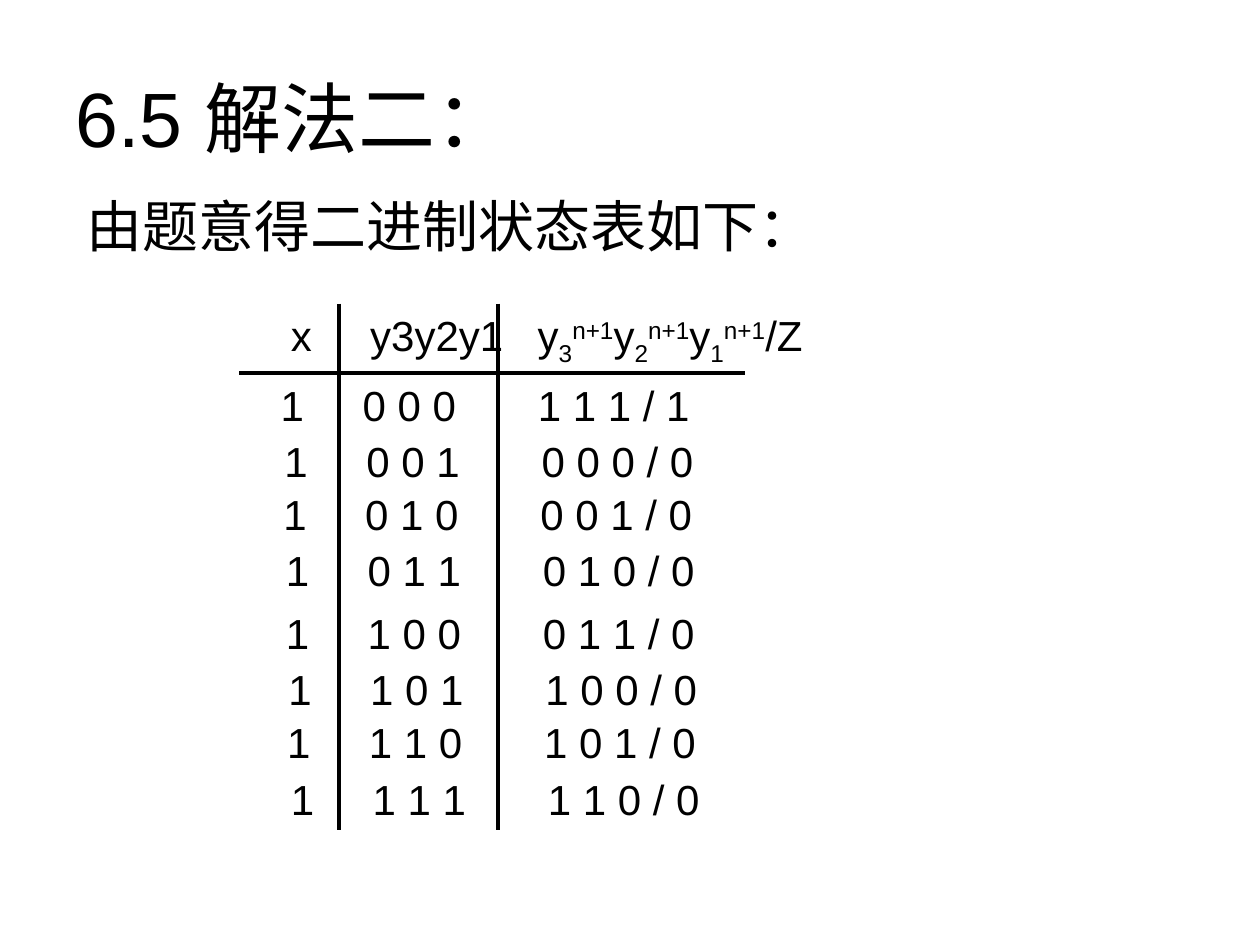
from lxml import etree
from pptx import Presentation
from pptx import util as u
from pptx.dml.color import RGBColor
from pptx.enum import shapes, text
from pptx.oxml.ns import qn

COLORS = {"ink": "000000", "paper": "FFFFFF"}
INK = RGBColor.from_string(COLORS["ink"])


def write(sp, parts, size=24, tabs=(), wrap=True, anchor=text.MSO_ANCHOR.TOP):
    tf = sp.text_frame
    tf.word_wrap = wrap
    tf.auto_size = text.MSO_AUTO_SIZE.NONE
    tf.vertical_anchor = anchor
    p = tf.paragraphs[0]
    p.alignment = text.PP_ALIGN.LEFT
    if tabs:
        tab_list = etree.SubElement(p._p.get_or_add_pPr(), qn("a:tabLst"))
        for pos in tabs:
            etree.SubElement(tab_list, qn("a:tab"), pos=str(u.Inches(pos)), algn="l")
    for words, baseline in parts:
        r = p.add_run()
        r.text = words
        r.font.size = u.Pt(size)
        r.font.name = "Arial"
        r.font.color.rgb = INK
        if baseline:
            r._r.get_or_add_rPr().set("baseline", str(baseline * 1000))


prs = Presentation()
prs.slide_width, prs.slide_height = u.Inches(10), u.Inches(7.5)
s = prs.slides.add_slide(prs.slide_layouts[5])
s.background.fill.solid()
s.background.fill.fore_color.rgb = RGBColor.from_string(COLORS["paper"])

title = s.shapes.title
title.left, title.top = u.Inches(0.5), u.Inches(0.3)
title.width, title.height = u.Inches(9), u.Inches(1.25)
write(title, [("6.5 解法二：", 0)], size=44, anchor=text.MSO_ANCHOR.MIDDLE)

header = s.shapes.add_textbox(u.Inches(2.21), u.Inches(2.41), u.Inches(4.4), u.Inches(0.56))
parts = [("x\ty3y2y1\t", 0)]
for index in "321":
    parts += [("y", 0), (index, -25), ("n+1", 30)]
write(header, parts + [("/Z", 0)], tabs=(0.63, 1.96))

lefts = [2.13, 2.16, 2.15, 2.17, 2.17, 2.19, 2.18, 2.21]
tops = [2.96, 3.41, 3.83, 4.27, 4.77, 5.22, 5.64, 6.09]
for state, (left, top) in enumerate(zip(lefts, tops)):
    now = " ".join(f"{state:03b}")
    following = " ".join(f"{(state - 1) % 8:03b}")
    output = 1 if state == 0 else 0
    row = s.shapes.add_textbox(u.Inches(left), u.Inches(top), u.Inches(3.5), u.Inches(0.5))
    write(row, [(f"1\t{now}\t{following} / {output}", 0)], tabs=(0.65, 2.04))

rules = [(1.9, 2.96, 5.91, 2.96), (2.69, 2.41, 2.69, 6.59), (3.95, 2.41, 3.95, 6.59)]
for ends in rules:
    line = s.shapes.add_connector(shapes.MSO_CONNECTOR.STRAIGHT, *map(u.Inches, ends))
    line.line.color.rgb = INK
    line.line.width = u.Pt(2.25)
    etree.SubElement(line._element.spPr, qn("a:effectLst"))

intro = s.shapes.add_textbox(u.Inches(0.59), u.Inches(1.47), u.Inches(5.98), u.Inches(0.64))
write(intro, [("由题意得二进制状态表如下：", 0)], size=32, wrap=False)

prs.save("out.pptx")
